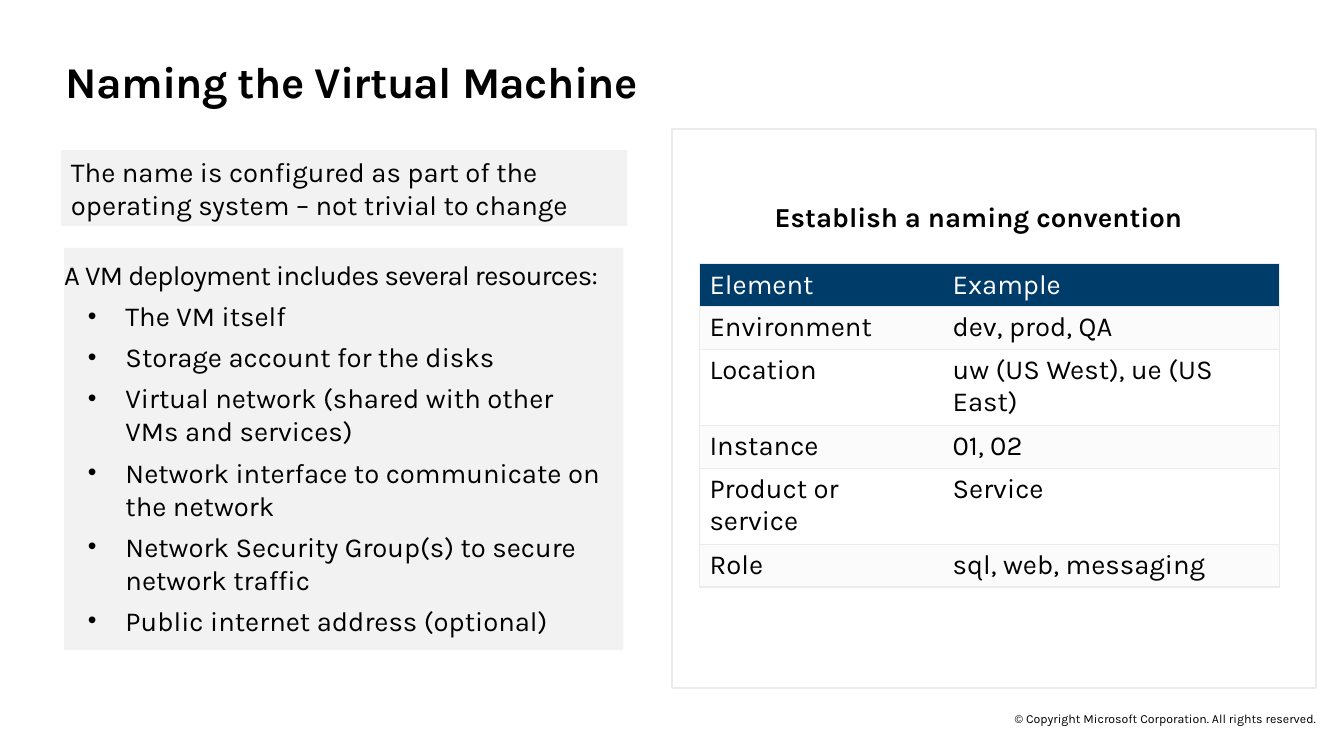
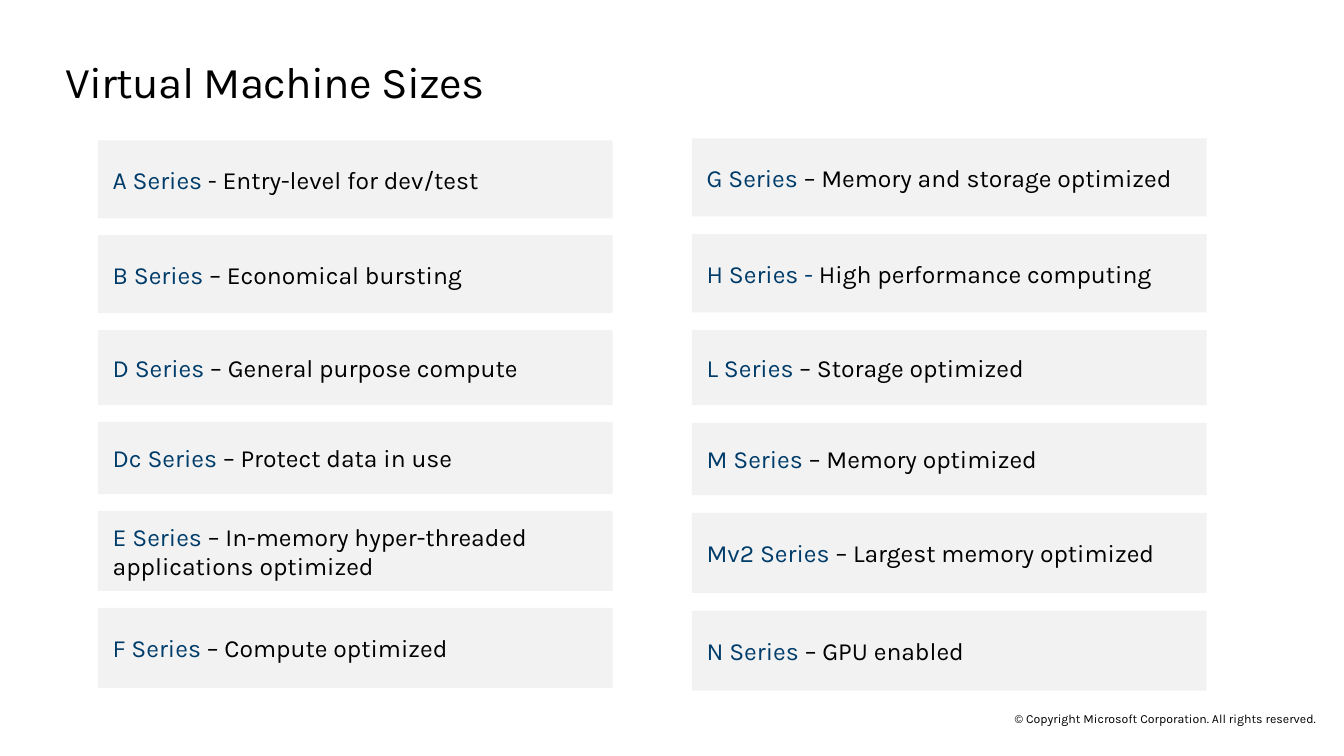
import pptx
import pptx.util
import pptx.dml.color
import pptx.enum.shapes
import pptx.enum.text
import pptx.oxml.ns
from lxml import etree

# Shared style
FONT = "Karla"
BLACK, WHITE, NAVY = "000000", "FFFFFF", "003C6A"
PANEL, BORDER, BAND = "F2F2F2", "EBEBEB", "FBFBFB"
FOOTER = "© Copyright Microsoft Corporation. All rights reserved."
TOP = pptx.enum.text.MSO_ANCHOR.TOP
MIDDLE = pptx.enum.text.MSO_ANCHOR.MIDDLE
LEFT = pptx.enum.text.PP_ALIGN.LEFT
CENTER = pptx.enum.text.PP_ALIGN.CENTER

# Slide 1 content
NAME_NOTE = "The name is configured as part of the operating system – not trivial to change"
RESOURCES_INTRO = "A VM deployment includes several resources:"
RESOURCES = [
    "The VM itself",
    "Storage account for the disks",
    "Virtual network (shared with other VMs and services)",
    "Network interface to communicate on the network",
    "Network Security Group(s) to secure network traffic",
    "Public internet address (optional)",
]
CONVENTION = [
    ("Element", "Example"),
    ("Environment", "dev, prod, QA"),
    ("Location", "uw (US West), ue (US East)"),
    ("Instance", "01, 02"),
    ("Product or service", "Service"),
    ("Role", "sql, web, messaging"),
]
CONVENTION_COLS = (246, 341)
CONVENTION_ROW = 41

# Slide 2 content: left, top, gap and the (name, description) pairs of each column
SERIES_WIDTH = 521
SERIES_HEIGHTS = (79, 79, 76, 73, 81, 81)
SERIES_COLUMNS = [
    (99, 142, 17, [
        ("A Series", " - Entry-level for dev/test"),
        ("B Series ", "– Economical bursting"),
        ("D Series", " – General purpose compute"),
        ("Dc Series ", "– Protect data in use"),
        ("E Series", " – In-memory hyper-threaded applications optimized"),
        ("F Series", " – Compute optimized"),
    ]),
    (700, 140, 18, [
        ("G Series", " – Memory and storage optimized"),
        ("H Series - ", "High performance computing"),
        ("L Series", " – Storage optimized"),
        ("M Series ", "– Memory optimized"),
        ("Mv2 Series", " – Largest memory optimized"),
        ("N Series", " – GPU enabled"),
    ]),
]


def px(n):
    return pptx.util.Emu(n * 9144)  # 100 px to the inch


def rgb(value):
    return pptx.dml.color.RGBColor.from_string(value)


def sub(parent, tag, **attrs):
    return etree.SubElement(parent, pptx.oxml.ns.qn(tag), attrs)


# Text
def add_run(p, text, size, color=BLACK, bold=False, spacing=0):
    r = p.add_run()
    r.text = text
    r.font.name, r.font.size, r.font.bold = FONT, pptx.util.Pt(size), bold
    r.font.color.rgb = rgb(color)
    if spacing:
        r.font._element.set("spc", str(spacing))


def set_frame(tf, insets=(10, 5, 10, 5), anchor=TOP):
    tf.word_wrap = True
    tf.vertical_anchor = anchor
    tf.margin_left, tf.margin_top, tf.margin_right, tf.margin_bottom = map(px, insets)
    p = tf.paragraphs[0]
    p.alignment = LEFT
    return p


def add_label(s, box, text, size, bold=False, spacing=0, **frame):
    sp = s.shapes.add_textbox(*map(px, box))
    p = set_frame(sp.text_frame, **frame)
    add_run(p, text, size, bold=bold, spacing=spacing)
    return p


def add_bullet(tf, text, size):
    p = tf.add_paragraph()
    p.level, p.alignment = 1, LEFT
    pPr = p._p.get_or_add_pPr()
    pPr.set("marL", str(px(62)))
    pPr.set("indent", str(px(-38)))
    sub(pPr, "a:buSzPct", val="90000")
    sub(pPr, "a:buFont", typeface="Arial")
    sub(pPr, "a:buChar", char="•")
    p.space_after = pptx.util.Pt(6)
    add_run(p, text, size)


# Shapes
def add_rect(s, box, fill=None, line=None):
    sp = s.shapes.add_shape(pptx.enum.shapes.MSO_SHAPE.RECTANGLE, *map(px, box))
    sp.shadow.inherit = False
    if fill:
        sp.fill.solid()
        sp.fill.fore_color.rgb = rgb(fill)
    else:
        sp.fill.background()
    if line:
        sp.line.color.rgb = rgb(line)
        sp.line.width = pptx.util.Pt(1.5)
    else:
        sp.line.fill.background()
    return sp


def set_borders(cell, hidden):
    tcPr = cell._tc.get_or_add_tcPr()
    for side in "LRTB":
        ln = sub(tcPr, "a:ln" + side, w="12700")
        if side == hidden:
            sub(ln, "a:noFill")
        else:
            sub(sub(ln, "a:solidFill"), "a:srgbClr", val=BORDER)


def add_convention_table(s, left, top):
    shape = s.shapes.add_table(len(CONVENTION), len(CONVENTION_COLS), px(left), px(top),
                               px(sum(CONVENTION_COLS)), px(CONVENTION_ROW * len(CONVENTION)))
    table = shape.table
    table.first_row = table.horz_banding = False
    for column, width in zip(table.columns, CONVENTION_COLS):
        column.width = px(width)
    for i, row in enumerate(CONVENTION):
        fill = NAVY if i == 0 else BAND if i % 2 else WHITE
        for j, text in enumerate(row):
            cell = table.cell(i, j)
            set_borders(cell, "L" if j else "R")
            cell.fill.solid()
            cell.fill.fore_color.rgb = rgb(fill)
            add_run(cell.text_frame.paragraphs[0], text, 20, BLACK if i else WHITE)


# Slides
def add_slide(prs, title, bold):
    s = prs.slides.add_slide(prs.slide_layouts[6])
    p = add_label(s, (998, 720, 362, 15), FOOTER, 9, insets=(0, 0, 0, 0), anchor=MIDDLE)
    p.alignment = CENTER
    p = add_label(s, (66, 51, 1229, 48), title, 32, bold, -50, insets=(0, 10, 16, 10))
    p.line_spacing = 0.9
    return s


def build_naming(prs):
    s = add_slide(prs, "Naming the Virtual Machine", True)

    # Left panels
    tf = add_rect(s, (62, 152, 573, 77), PANEL).text_frame
    add_run(set_frame(tf), NAME_NOTE, 20)
    tf = add_rect(s, (65, 251, 566, 407), PANEL).text_frame
    p = set_frame(tf, (0, 10, 16, 10))
    p.space_after = pptx.util.Pt(6)
    add_run(p, RESOURCES_INTRO, 20, spacing=-50)
    for resource in RESOURCES:
        add_bullet(tf, resource, 20)

    # Naming convention
    add_label(s, (774, 198, 465, 44), "Establish a naming convention", 20, True)
    add_convention_table(s, 708, 267)
    add_rect(s, (680, 131, 652, 565), line=BORDER)


def build_sizes(prs):
    s = add_slide(prs, "Virtual Machine Sizes", False)
    for left, top, gap, series in SERIES_COLUMNS:
        for (name, description), height in zip(series, SERIES_HEIGHTS):
            sp = add_rect(s, (left, top, SERIES_WIDTH, height), PANEL)
            p = set_frame(sp.text_frame, (15, 10, 15, 10), MIDDLE)
            add_run(p, name, 18, NAVY)
            add_run(p, description, 18)
            top += height + gap


def main():
    prs = pptx.Presentation()
    prs.slide_width, prs.slide_height = px(1360), px(765)
    build_naming(prs)
    build_sizes(prs)
    prs.save("out.pptx")


if __name__ == "__main__":
    main()
